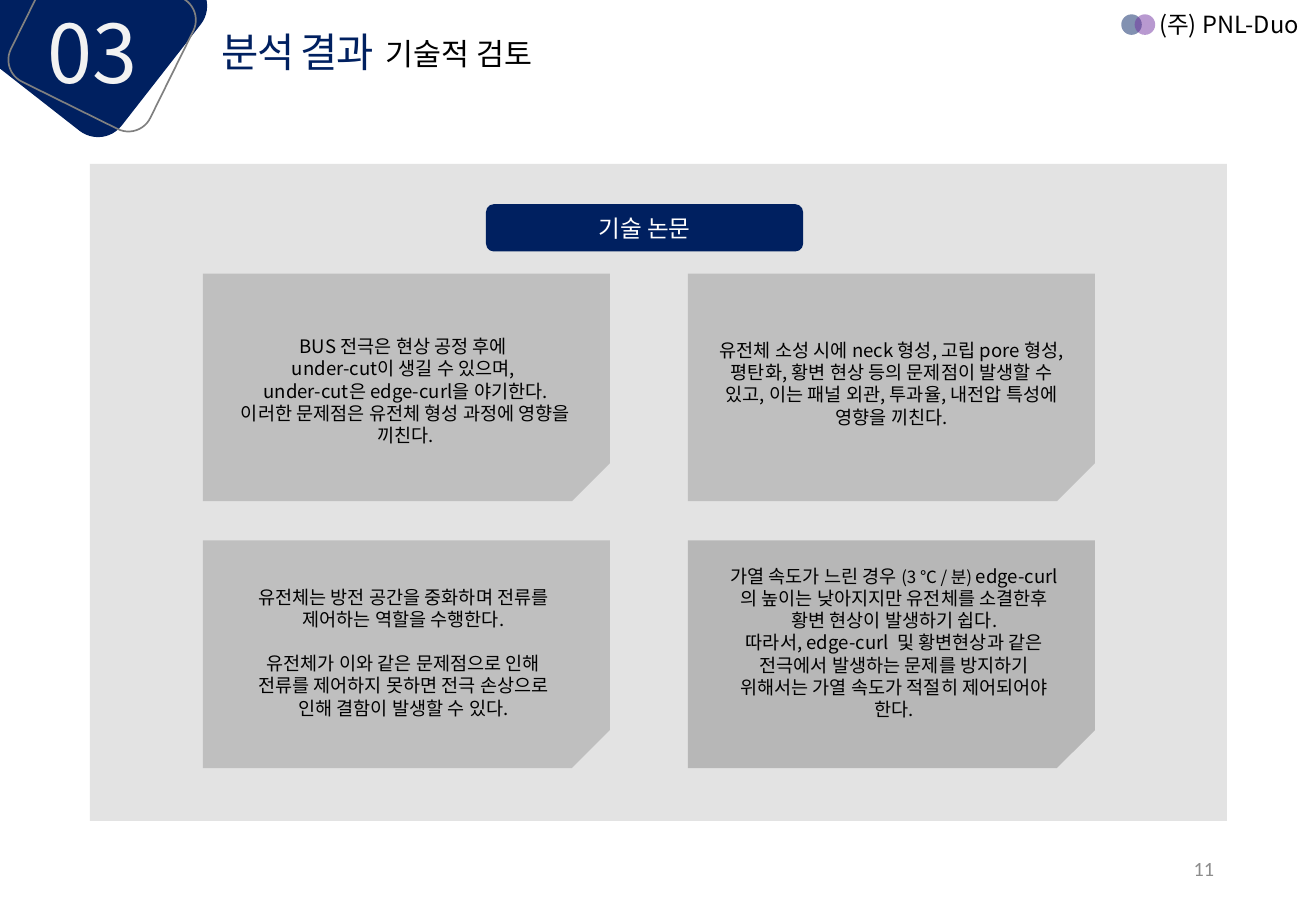
from lxml.etree import SubElement
from pptx import Presentation
from pptx.dml.color import RGBColor
from pptx.enum.shapes import MSO_SHAPE as Shape
from pptx.enum.text import MSO_ANCHOR as Anchor, PP_ALIGN as Align
from pptx.oxml.ns import qn
from pptx.util import Cm, Pt

NAVY, GRAY, BLACK, WHITE = "002060", "BFBFBF", "000000", "FFFFFF"
KOREAN = "Noto Sans CJK KR"


def rgb(value):
    return RGBColor.from_string(value)


def write(frame, paragraphs, size=11, color=BLACK, font=KOREAN, align=Align.CENTER,
          anchor=Anchor.TOP, wrap=True, spacing=None, gap=0):
    """Fill a frame; a paragraph is a string or a list of (text, size) runs."""
    frame.word_wrap = wrap
    frame.vertical_anchor = anchor
    for i, content in enumerate(paragraphs):
        paragraph = frame.add_paragraph() if i else frame.paragraphs[0]
        paragraph.alignment = align
        if i and gap:
            paragraph.space_before = Pt(gap)
        runs = [(content, size)] if isinstance(content, str) else content
        for text, run_size in runs:
            run = paragraph.add_run()
            run.text = text
            run.font.size = Pt(run_size)
            run.font.name = font
            run.font.color.rgb = rgb(color)
            props = run.font._element
            SubElement(props, qn("a:ea")).set("typeface", font)
            if spacing is not None:
                props.set("spc", str(spacing))


class Page:
    def __init__(self, deck):
        self.shapes = deck.slides.add_slide(deck.slide_layouts[6]).shapes

    def shape(self, kind, box, fill=None, line=None, alpha=None, rotation=0):
        item = self.shapes.add_shape(kind, *map(Cm, box))
        item.shadow.inherit = False
        item.rotation = rotation
        if fill:
            item.fill.solid()
            item.fill.fore_color.rgb = rgb(fill)
        else:
            item.fill.background()
        if line:
            item.line.color.rgb = rgb(line)
            item.line.width = Pt(1)
        else:
            item.line.fill.background()
        if alpha:
            color = item._element.spPr.find(qn("a:solidFill"))[0]
            SubElement(color, qn("a:alpha")).set("val", str(alpha * 1000))
        return item

    def card(self, left, top):
        item = self.shape(Shape.SNIP_1_RECTANGLE, (left, top, 8.51, 4.76), GRAY, rotation=180)
        item._element.spPr.find(qn("a:xfrm")).set("flipH", "1")

    def text(self, box, *paragraphs, **style):
        write(self.shapes.add_textbox(*map(Cm, box)).text_frame, paragraphs, **style)


def main():
    deck = Presentation()
    deck.slide_width, deck.slide_height = Cm(27.51), Cm(19.05)
    page = Page(deck)

    # Panel, lying over the last card and under the others
    *front_cards, back_card = [(left, top) for top in (5.72, 11.3) for left in (4.24, 14.38)]
    page.card(*back_card)
    page.shape(Shape.RECTANGLE, (1.88, 3.43, 23.77, 13.74), "A6A6A6", alpha=31)
    for corner in front_cards:
        page.card(*corner)

    # Section number
    page.shape(Shape.ROUNDED_RECTANGLE, (-0.08, -1.47, 3.94, 3.76), NAVY, rotation=308)
    page.shape(Shape.ROUNDED_RECTANGLE, (0.61, -0.79, 3.05, 3.25), line="808080", rotation=296.3)
    page.text((0.74, -0.08, 2.95, 2.31), "03", size=48, color="F2F2F2", align=Align.LEFT)

    # Title and subtitle
    page.text((4.39, 0.43, 17.96, 1.27), "분석 결과", size=24, color=NAVY, align=Align.LEFT,
              anchor=Anchor.MIDDLE, spacing=-100)
    page.text((7.82, 0.61, 3.94, 1.02), "기술적 검토", size=18, align=Align.LEFT, wrap=False)

    # Company mark
    page.text((23.98, 0.08, 3.58, 0.86), "(주) PNL-Duo", size=14, align=Align.JUSTIFY)
    for left, color in ((23.44, NAVY), (23.72, "7030A0")):
        page.shape(Shape.OVAL, (left, 0.3, 0.43, 0.43), color, alpha=49)

    # Heading
    heading = page.shape(Shape.ROUNDED_RECTANGLE, (10.16, 4.27, 6.63, 0.99), NAVY)
    write(heading.text_frame, ["기술 논문"], size=14, color=WHITE, anchor=Anchor.MIDDLE)

    # Findings
    page.text((4.52, 6.88, 7.92, 2.62),
              "BUS 전극은 현상 공정 후에 ",
              "under-cut이 생길 수 있으며, ",
              "under-cut은 edge-curl을 야기한다.",
              "이러한 문제점은 유전체 형성 과정에 영향을 끼친다.")
    page.text((14.68, 6.96, 7.92, 2.13),
              "유전체 소성 시에 neck 형성, 고립 pore 형성, 평탄화, 황변 현상 등의 문제점이 "
              "발생할 수 있고, 이는 패널 외관, 투과율, 내전압 특성에 영향을 끼친다.")
    page.text((4.75, 12.12, 7.37, 3.07),
              "유전체는 방전 공간을 중화하며 전류를 제어하는 역할을 수행한다.",
              "유전체가 이와 같은 문제점으로 인해 전류를 제어하지 못하면 전극 손상으로 "
              "인해 결함이 발생할 수 있다.", gap=13)
    page.text((15.01, 11.68, 7.37, 4.01),
              [("가열 속도가 느린 경우 ", 11), ("(3 ℃ / 분) ", 10),
               ("edge-curl의 높이는 낮아지지만 유전체를 소결한후 황변 현상이 발생하기 쉽다.", 11)],
              "따라서, edge-curl  및 황변현상과 같은",
              "전극에서 발생하는 문제를 방지하기 위해서는 가열 속도가 적절히 제어되어야 한다.")

    # Page number
    page.text((19.43, 17.65, 6.2, 1.02), "11", size=12, color="8C8C8C", font="Calibri",
              align=Align.RIGHT, anchor=Anchor.MIDDLE)

    deck.save("out.pptx")


if __name__ == "__main__":
    main()
